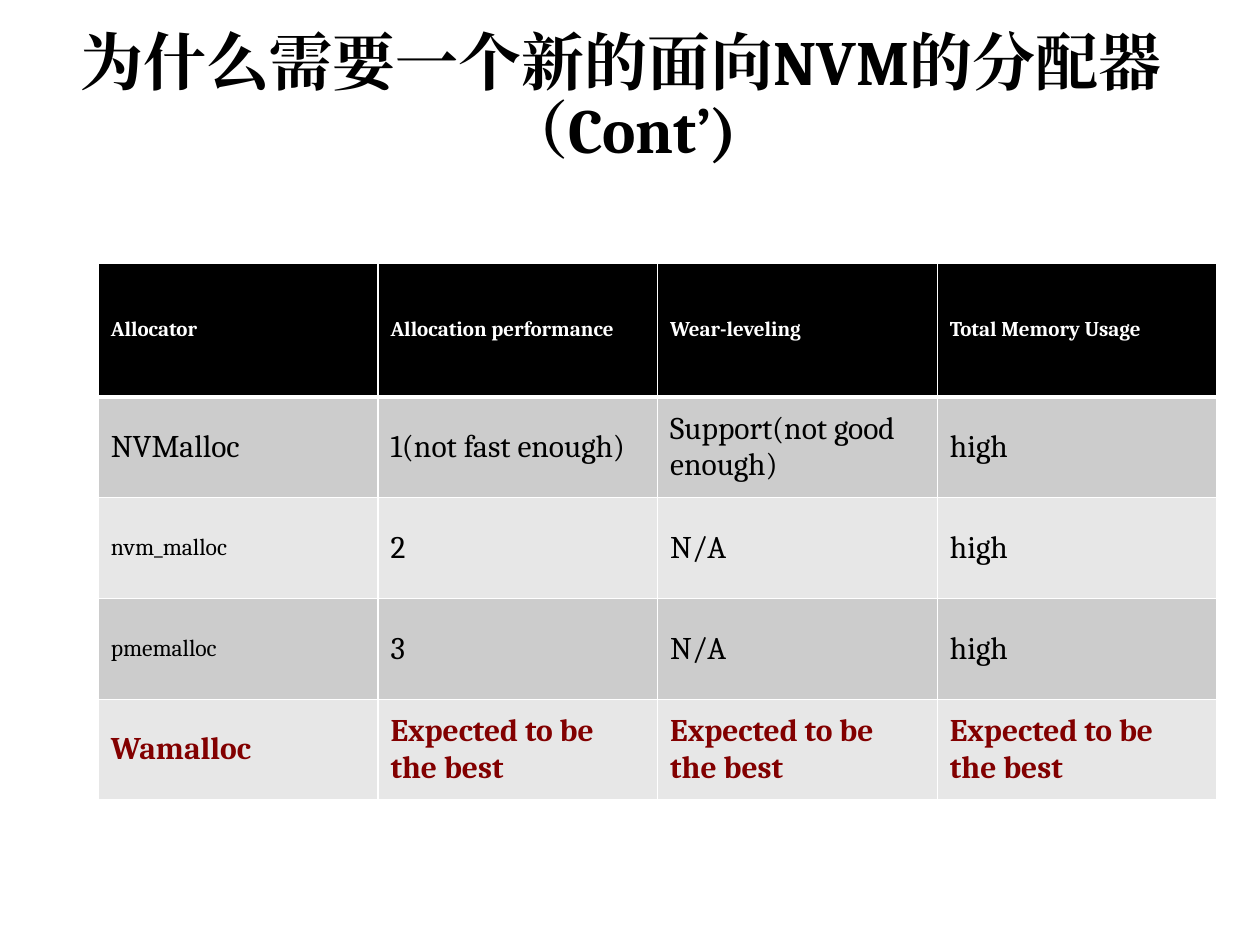
from lxml.etree import SubElement
from pptx import Presentation
from pptx.dml.color import RGBColor
from pptx.enum.text import MSO_ANCHOR, PP_ALIGN
from pptx.oxml.ns import qn
from pptx.util import Inches, Pt

BLACK, WHITE, RED = "000000", "FFFFFF", "820000"
BANDS = ["CCCCCC", "E7E7E7"]
BEST = "Expected to be the best"
ROWS = [
    ["Allocator", "Allocation performance", "Wear-leveling", "Total Memory Usage"],
    ["NVMalloc", "1(not fast enough)", "Support(not good enough)", "high"],
    ["nvm_malloc", "2", "N/A", "high"],
    ["pmemalloc", "3", "N/A", "high"],
    ["Wamalloc", BEST, BEST, BEST],
]
SMALL_NAMES = {"nvm_malloc", "pmemalloc"}


def color(value):
    return RGBColor.from_string(value)


class SlideBuilder:
    font_name = "Cambria"

    def __init__(self, page):
        self.page = page

    def span(self, para, text, size, ink, bold=False):
        span = para.add_run()
        span.text = text
        span.font.name = self.font_name
        span.font.size = Pt(size)
        span.font.bold = bold
        span.font.color.rgb = color(ink)
        properties = span.font._element
        SubElement(properties, qn("a:ea"), typeface=self.font_name)

    def title(self, text, left, top, width, height):
        box = self.page.shapes.add_textbox(
            Inches(left), Inches(top), Inches(width), Inches(height)
        )
        frame = box.text_frame
        frame.word_wrap = True
        frame.vertical_anchor = MSO_ANCHOR.MIDDLE
        para = frame.paragraphs[0]
        para.alignment = PP_ALIGN.CENTER
        para.line_spacing = 0.9
        self.span(para, text, 36, BLACK, True)

    def borders(self, cell, widths):
        properties = cell._tc.get_or_add_tcPr()
        for index, (side, width) in enumerate(widths.items()):
            line = properties.makeelement(qn(f"a:ln{side}"), {"w": str(Pt(width))})
            fill = SubElement(line, qn("a:solidFill"))
            SubElement(fill, qn("a:srgbClr"), val=WHITE)
            properties.insert(index, line)

    def table(self, rows, left, top, column_width, heights):
        table = self.page.shapes.add_table(
            len(rows), len(rows[0]), Inches(left), Inches(top),
            Inches(column_width * len(rows[0])), Inches(sum(heights)),
        ).table
        for column in table.columns:
            column.width = Inches(column_width)
        for r, (values, height) in enumerate(zip(rows, heights)):
            table.rows[r].height = Inches(height)
            header, last = r == 0, r == len(rows) - 1
            ink = WHITE if header else RED if last else BLACK
            shade = BLACK if header else BANDS[(r - 1) % 2]
            edges = {"L": 1, "R": 1, "T": 3 if r == 1 else 1, "B": 3 if header else 1}
            for c, text in enumerate(values):
                cell = table.cell(r, c)
                cell.vertical_anchor = MSO_ANCHOR.MIDDLE
                cell.fill.solid()
                cell.fill.fore_color.rgb = color(shade)
                self.borders(cell, edges)
                size = 12 if header else 13.5 if text in SMALL_NAMES else 18
                para = cell.text_frame.paragraphs[0]
                self.span(para, text, size, ink, header or last)


def main():
    deck = Presentation()
    deck.slide_width = Inches(10)
    deck.slide_height = Inches(7.5)
    builder = SlideBuilder(deck.slides.add_slide(deck.slide_layouts[6]))
    builder.title("为什么需要一个新的面向NVM的分配器（Cont’)", 0.2, 0.24, 9.46, 1.1)
    builder.table(ROWS, 0.78, 2.09, 2.22, [1.06] + [0.8] * 4)
    deck.save("out.pptx")


if __name__ == "__main__":
    main()
